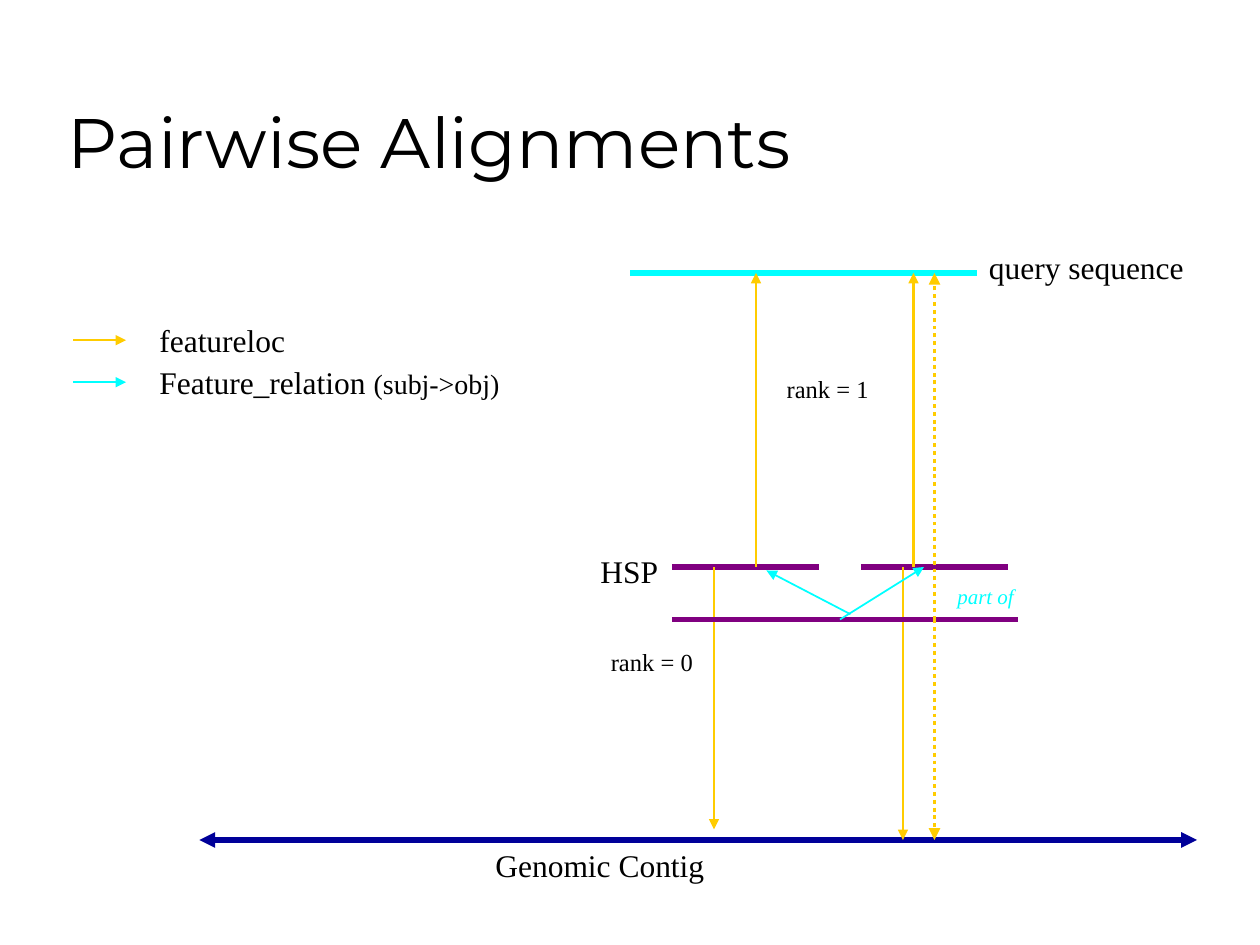
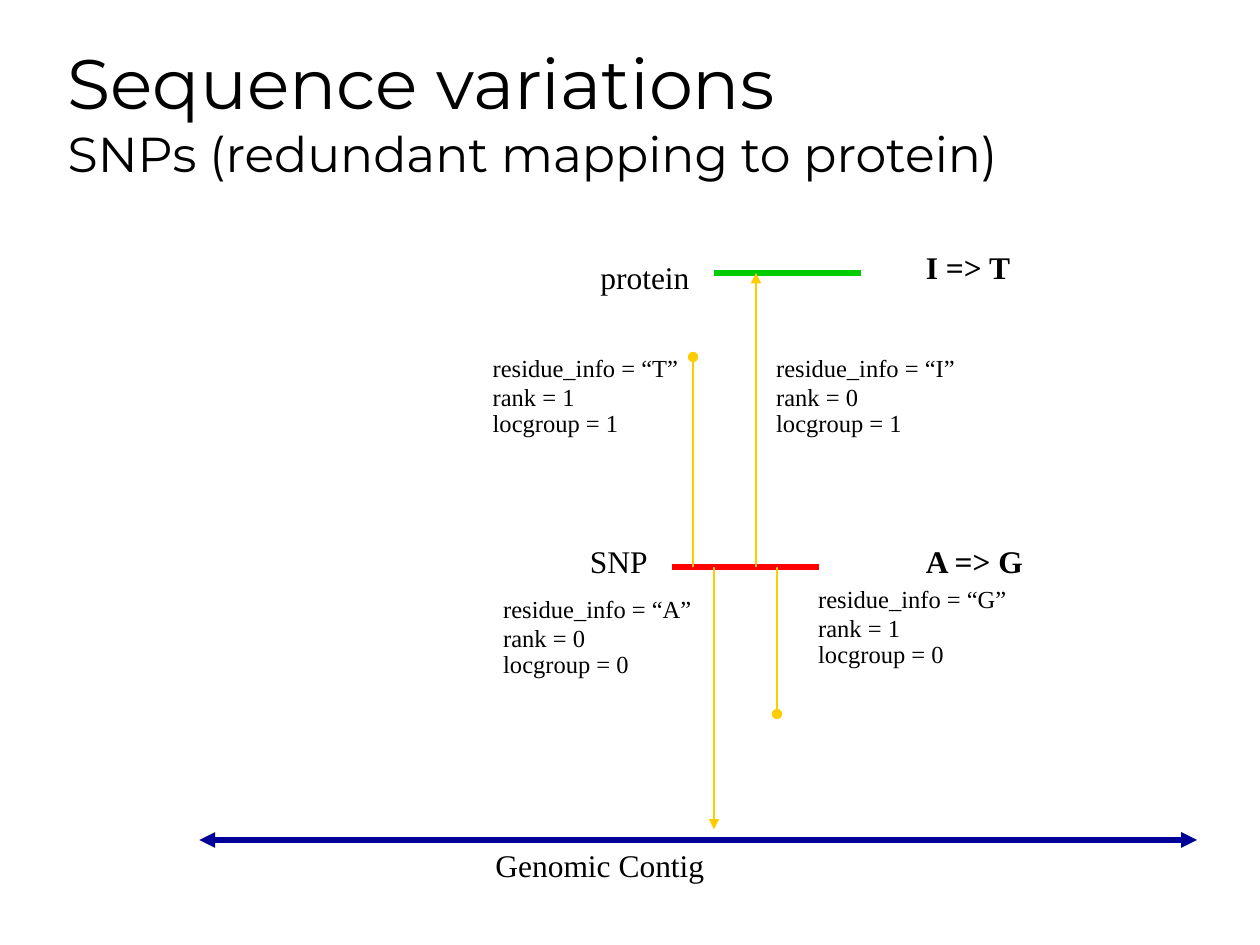
from dataclasses import dataclass

from lxml.etree import SubElement
from pptx import Presentation
from pptx.dml.color import RGBColor
from pptx.enum.dml import MSO_LINE
from pptx.enum.shapes import MSO_CONNECTOR
from pptx.enum.text import MSO_ANCHOR, MSO_AUTO_SIZE, PP_ALIGN
from pptx.oxml.ns import qn
from pptx.util import Pt


@dataclass(frozen=True)
class Theme:
    ink: str = "000000"
    contig: str = "000099"
    loc: str = "FFCC00"
    cyan: str = "00FFFF"
    hsp: str = "800080"
    snp: str = "FF0000"
    protein: str = "00CC00"
    head_font: str = "Montserrat"
    body_font: str = "Times New Roman"
    title: int = 40
    subtitle: int = 28
    body: int = 18
    aside: int = 16
    note: int = 14
    small: int = 12
    bar: float = 3
    arrow: float = 1.5


THEME = Theme()

# Boxes are left, top, width, height in points.
TITLE = (31.5, 18, 612, 90)
LEGEND = (42, 180, 270, 53)
GRAPH = (264, 156, 444, 324)
CONTIG = (114, 480, 570, 29)

# Heights of the feature bar and the contig below the top bar of the graph.
FEATURE = 168
BASE = 324


def style(font, size, color=THEME.ink, name=THEME.body_font):
    font.name, font.size = name, Pt(size)
    font.color.rgb = RGBColor.from_string(color)


class Pen:
    """Draws on a slide, relative to the corner of a box."""

    def __init__(self, slide, box):
        self.shapes = slide.shapes
        self.left, self.top, self.width, self.height = box

    def line(self, start, end, color, width=THEME.arrow, head=None, tail=None, dash=None):
        x, y = self.left, self.top
        link = self.shapes.add_connector(
            MSO_CONNECTOR.STRAIGHT, Pt(x + start[0]), Pt(y + start[1]),
            Pt(x + end[0]), Pt(y + end[1]))
        link.line.color.rgb = RGBColor.from_string(color)
        link.line.width = Pt(width)
        if dash:
            link.line.dash_style = dash
        props = link.line._get_or_add_ln()
        for tag, kind in (("a:headEnd", head), ("a:tailEnd", tail)):
            if kind:
                SubElement(props, qn(tag), type=kind)
        SubElement(link._element.spPr, qn("a:effectLst"))

    def arrow(self, start, end, color=THEME.loc, width=THEME.arrow, tail="triangle", dash=None):
        self.line(start, end, color, width, tail=tail, dash=dash)

    def bar(self, left, right, y, color):
        self.line((left, y), (right, y), color, THEME.bar)

    def label(self, x, y, width, *rows, size=THEME.body, color=THEME.ink,
              bold=False, italic=False, indent=0):
        height = 1.15 * size * len(rows) + 8
        box = self.shapes.add_textbox(
            Pt(self.left + x), Pt(self.top + y), Pt(width), Pt(height))
        frame = box.text_frame
        frame.word_wrap = True
        for i, row in enumerate(rows):
            para = frame.add_paragraph() if i else frame.paragraphs[0]
            para.text = row
            para._p.get_or_add_pPr().set("marL", str(Pt(indent)))
            if i:
                para.line_spacing, para.space_before = 0.25, Pt(10.5)
            style(para.font, size, color)
            para.font.bold, para.font.italic = bold, italic
        return frame

    def note(self, x, y, *rows):
        self.label(x, y, 150, *rows, size=THEME.note, indent=10.5)


def heading(slide, box, text, sub=None):
    shape = slide.shapes.title
    shape.left, shape.top, shape.width, shape.height = map(Pt, box)
    frame = shape.text_frame
    frame.auto_size = MSO_AUTO_SIZE.NONE
    frame.vertical_anchor = MSO_ANCHOR.BOTTOM
    para = frame.paragraphs[0]
    para.alignment = PP_ALIGN.LEFT
    style(para.font, THEME.title, name=THEME.head_font)
    para.add_run().text = text
    if sub:
        para.add_line_break()
        run = para.add_run()
        run.text = sub
        run.font.size = Pt(THEME.subtitle)


def contig(slide, box):
    pen = Pen(slide, box)
    pen.line((0, 0), (pen.width, 0), THEME.contig, THEME.bar, "triangle", "triangle")
    pen.label(162, 0, 210, "Genomic Contig")


def legend(slide, box):
    pen = Pen(slide, box)
    rows = (("featureloc", "", THEME.loc, 1.25),
            ("Feature_relation ", "(subj->obj)", THEME.cyan, THEME.arrow))
    for i, (name, aside, color, width) in enumerate(rows):
        y = 24 * i
        pen.arrow((0, y + 14.4), (30, y + 14.4), color, width)
        frame = pen.label(42, y, 228, name)
        if aside:
            run = frame.paragraphs[0].add_run()
            run.text = aside
            run.font.size = Pt(THEME.aside)


def pairs(slide, box):
    """Two HSPs and their parent, each located on query and contig."""
    pen = Pen(slide, box)
    pen.bar(96, 294, 0, THEME.cyan)
    pen.label(294, -18, 150, "query sequence")
    pen.label(72, 156, 102, "HSP")
    pen.note(168, 54, "rank = 1")
    pen.label(78, 210, 144, "rank = 0", size=THEME.note)

    for left, down, up, foot in ((120, 144, 168, BASE - 6), (228, 252, 258, BASE)):
        pen.bar(left, left + 84, FEATURE, THEME.hsp)
        pen.arrow((down, FEATURE), (down, foot))
        pen.arrow((up, FEATURE), (up, 0))

    parent = FEATURE + 30
    pen.bar(120, 318, parent, THEME.hsp)
    for y in (BASE, 0):
        pen.arrow((270, parent), (270, y), width=2.25, dash=MSO_LINE.ROUND_DOT)
    pen.arrow((222, parent - 3), (174, FEATURE + 2), THEME.cyan, 1)
    pen.arrow((216, parent), (264, FEATURE), THEME.cyan, 1)
    pen.label(276, 174, 78, "part of", size=THEME.small, color=THEME.cyan, italic=True)


def variants(slide, box):
    """One SNP with both alleles located on protein and contig."""
    pen = Pen(slide, box)
    pen.bar(144, 228, 0, THEME.protein)
    pen.bar(120, 204, FEATURE, THEME.snp)
    pen.label(72, -12, 96, "protein")
    pen.label(66, 150, 102, "SNP")
    for y, change in ((-18, "I => T"), (150, "A => G")):
        pen.label(258, y, 102, change, bold=True)

    alleles = (
        ("A", 0, 0, (6, 180), 144, BASE - 6, "triangle"),
        ("G", 1, 0, (186, 174), 180, 252, "oval"),
        ("I", 0, 1, (162, 42), 168, 0, "triangle"),
        ("T", 1, 1, (0, 42), 132, 48, "oval"),
    )
    for residue, rank, group, spot, x, y, tail in alleles:
        pen.arrow((x, FEATURE), (x, y), tail=tail)
        pen.note(*spot, f"residue_info = “{residue}”", f"rank = {rank}",
                 f"locgroup = {group}")


def start(deck, text, sub=None):
    slide = deck.slides.add_slide(deck.slide_layouts[5])
    heading(slide, TITLE, text, sub)
    contig(slide, CONTIG)
    return slide


def main():
    deck = Presentation()
    deck.slide_width, deck.slide_height = Pt(720), Pt(540)

    slide = start(deck, "Pairwise Alignments")
    legend(slide, LEGEND)
    pairs(slide, GRAPH)

    slide = start(deck, "Sequence variations", "SNPs (redundant mapping to protein)")
    variants(slide, GRAPH)

    deck.save("out.pptx")


if __name__ == "__main__":
    main()
